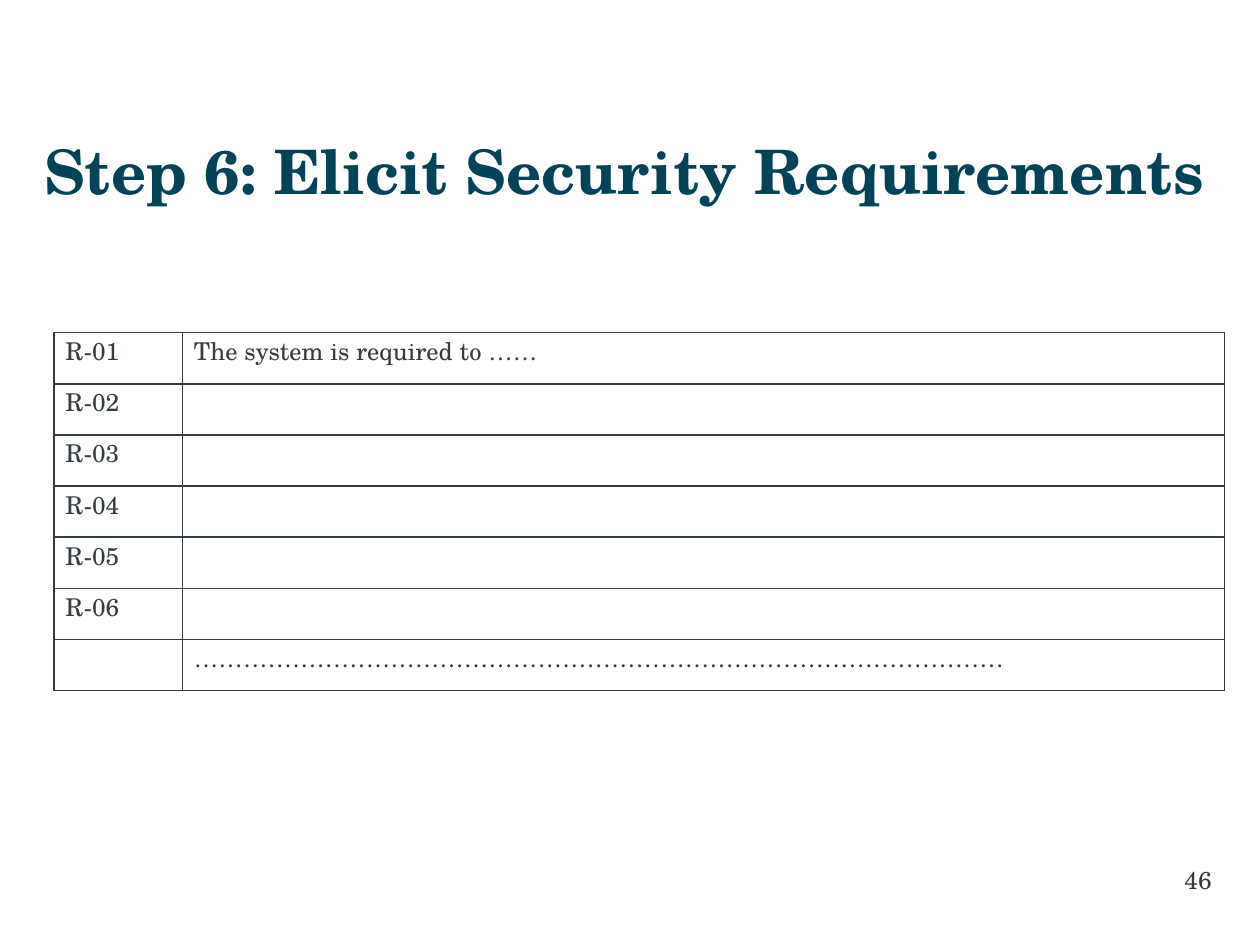
from lxml import etree
from pptx import Presentation
from pptx.dml.color import RGBColor
from pptx.enum import text
from pptx.oxml.ns import qn
from pptx.util import Inches, Pt

TITLE = "Step 6: Elicit Security Requirements"
PAGE = "46"
REQUIREMENTS = [
    ("R-01", "The system is required to ……"),
    ("R-02", ""),
    ("R-03", ""),
    ("R-04", ""),
    ("R-05", ""),
    ("R-06", ""),
    ("", "………………………………………………………………………………………"),
]
COLUMNS = (1.02, 8.27)
ROW_HEIGHT = 0.406
COLORS = {"title": "014359", "ink": "323D43"}
FONT = "TeX Gyre Schola"


def set_margins(obj, left=0):
    obj.margin_left = Inches(left)
    obj.margin_right = obj.margin_top = obj.margin_bottom = 0


def write(tf, content, size, color, bold=False):
    tf.text = content
    p = tf.paragraphs[0]
    p.alignment = text.PP_ALIGN.LEFT
    for r in p.runs:
        r.font.name = FONT
        r.font.size = Pt(size)
        r.font.bold = bold
        r.font.color.rgb = RGBColor.from_string(COLORS[color])
    return p


def set_borders(cell, color):
    props = cell._tc.get_or_add_tcPr()
    for index, side in enumerate(("lnL", "lnR", "lnT", "lnB")):
        line = etree.Element(qn(f"a:{side}"), w=str(Pt(1)))
        fill = etree.SubElement(line, qn("a:solidFill"))
        etree.SubElement(fill, qn("a:srgbClr"), val=COLORS[color])
        props.insert(index, line)


def add_title(slide):
    sp = slide.shapes.title
    sp.left, sp.top, sp.width, sp.height = map(Inches, (0.34, 1.06, 9.32, 0.59))
    tf = sp.text_frame
    set_margins(tf, 0.01)
    tf.vertical_anchor = text.MSO_ANCHOR.TOP
    tf.auto_size = text.MSO_AUTO_SIZE.NONE
    write(tf, TITLE, 35, "title", bold=True)


def add_requirements(slide):
    frame = slide.shapes.add_table(
        len(REQUIREMENTS), len(COLUMNS), Inches(0.43), Inches(2.64),
        Inches(sum(COLUMNS)), Inches(ROW_HEIGHT * len(REQUIREMENTS)))
    table = frame.table
    table.first_row = table.horz_banding = False
    for column, width in zip(table.columns, COLUMNS):
        column.width = Inches(width)
    for row, values in zip(table.rows, REQUIREMENTS):
        row.height = Inches(ROW_HEIGHT)
        for cell, value in zip(row.cells, values):
            set_margins(cell, 0.09)
            cell.fill.background()
            set_borders(cell, "ink")
            p = write(cell.text_frame, value, 14, "ink")
            p.space_before = Pt(3.1)


def add_page_number(slide):
    sp = slide.shapes.add_textbox(*map(Inches, (9.37, 6.89, 0.28, 0.22)))
    tf = sp.text_frame
    tf.word_wrap = True
    set_margins(tf, 0.03)
    p = write(tf, PAGE, 14, "ink")
    p.line_spacing = Pt(15.1)


def main():
    prs = Presentation()
    prs.slide_width, prs.slide_height = Inches(10), Inches(7.5)
    slide = prs.slides.add_slide(prs.slide_layouts[5])
    add_title(slide)
    add_page_number(slide)
    add_requirements(slide)
    prs.save("out.pptx")


if __name__ == "__main__":
    main()
